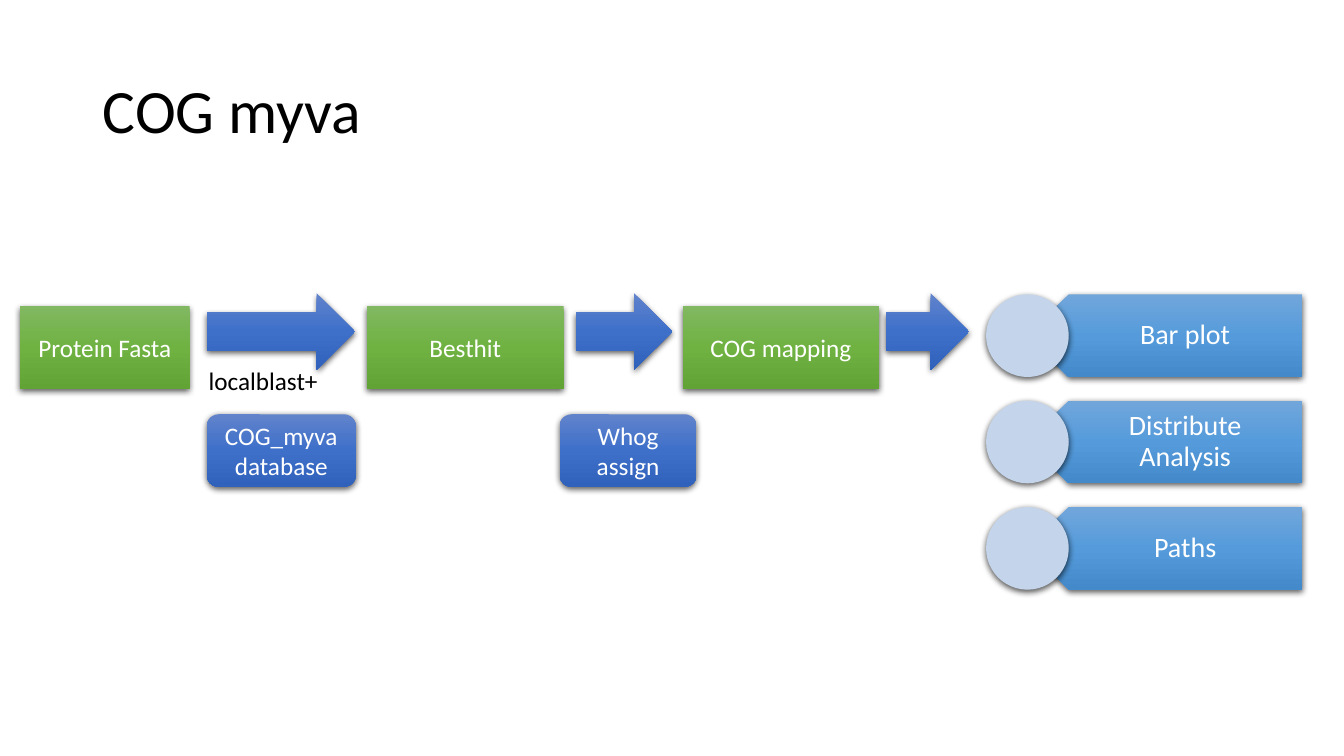
import pptx
import pptx.dml.color
import pptx.enum.shapes
import pptx.enum.text
import pptx.oxml
import pptx.oxml.ns
import pptx.util

Inches = pptx.util.Inches
RGBColor = pptx.dml.color.RGBColor
Shape = pptx.enum.shapes.MSO_SHAPE
Align = pptx.enum.text.PP_ALIGN
Anchor = pptx.enum.text.MSO_ANCHOR

BLACK = RGBColor(0x00, 0x00, 0x00)
WHITE = RGBColor(0xFF, 0xFF, 0xFF)
PALE_BLUE = RGBColor(0xC4, 0xD5, 0xEB)
GREEN = (RGBColor(0x81, 0xB8, 0x61), RGBColor(0x6F, 0xB2, 0x42), RGBColor(0x62, 0xA3, 0x36))
BLUE = (RGBColor(0x61, 0x83, 0xCB), RGBColor(0x3E, 0x70, 0xCA), RGBColor(0x30, 0x62, 0xBB))
SKY = (RGBColor(0x71, 0xA6, 0xDB), RGBColor(0x55, 0x9B, 0xDB), RGBColor(0x44, 0x8A, 0xCA))


def write_text(box, text, size=18, color=WHITE, align=Align.CENTER, anchor=Anchor.MIDDLE,
               spacing=None, wrap=True, insets=(0.1, 0.05, 0.1, 0.05)):
    """Write one formatted paragraph into a shape, text box or placeholder."""
    frame = box.text_frame
    frame.word_wrap = wrap
    frame.vertical_anchor = anchor
    (frame.margin_left, frame.margin_top,
     frame.margin_right, frame.margin_bottom) = map(Inches, insets)
    para = frame.paragraphs[0]
    para.alignment = align
    para.line_spacing = spacing
    span = para.add_run()
    span.text = text
    span.font.name = "Calibri"
    span.font.size = pptx.util.Pt(size)
    span.font.color.rgb = color


class FlowSlide:
    """The style of the flow chart and the slide it is drawn on."""

    def __init__(self, deck):
        """Add a title-only slide to the deck."""
        self.page = deck.slides.add_slide(deck.slide_layouts[5])

    def title(self, text):
        """Place and fill the title placeholder."""
        box = self.page.shapes.title
        box.left, box.top = Inches(0.92), Inches(0.4)
        box.width, box.height = Inches(11.5), Inches(1.45)
        write_text(box, text, size=44, color=BLACK, align=Align.LEFT, spacing=0.9)

    def shape(self, kind, left, top, width, height, fill, text=None):
        """Draw a borderless preset shape with a flat or three-stop fill and a soft shadow."""
        shape = self.page.shapes.add_shape(
            kind, Inches(left), Inches(top), Inches(width), Inches(height))
        shape.line.fill.background()
        if isinstance(fill, RGBColor):
            shape.fill.solid()
            shape.fill.fore_color.rgb = fill
        else:
            self.shade(shape, fill)
        self.cast_shadow(shape)
        if text:
            write_text(shape, text)
        return shape

    def shade(self, shape, colors):
        """Fill a shape with a gradient that runs from top to bottom."""
        stops = "".join(f'<a:gs pos="{index * 50000}"><a:srgbClr val="{color}"/></a:gs>'
                        for index, color in enumerate(colors))
        gradient = pptx.oxml.parse_xml(
            f'<a:gradFill {pptx.oxml.ns.nsdecls("a")} rotWithShape="1">'
            f'<a:gsLst>{stops}</a:gsLst><a:lin ang="5400000" scaled="0"/></a:gradFill>')
        shape.element.spPr.find(pptx.oxml.ns.qn("a:prstGeom")).addnext(gradient)

    def cast_shadow(self, shape):
        """Give a shape a soft shadow just below it."""
        shape.shadow.inherit = False
        effects = shape.element.spPr.find(pptx.oxml.ns.qn("a:effectLst"))
        effects.append(pptx.oxml.parse_xml(
            f'<a:outerShdw {pptx.oxml.ns.nsdecls("a")} blurRad="57150" dist="19050" '
            'dir="5400000" algn="ctr" rotWithShape="0"><a:srgbClr val="000000">'
            '<a:alpha val="63000"/></a:srgbClr></a:outerShdw>'))

    def label(self, text, left, top, width, height, **text_format):
        """Add a text box without fill."""
        box = self.page.shapes.add_textbox(
            Inches(left), Inches(top), Inches(width), Inches(height))
        write_text(box, text, **text_format)

    def result(self, text, top):
        """Draw a left-pointing result bar with its label and round marker."""
        bar = self.shape(Shape.PENTAGON, 10.19, top, 2.73, 0.82, SKY)
        bar.element.spPr.xfrm.set("flipH", "1")
        self.label(text, 10.39, top, 2.53, 0.82, size=20, spacing=0.9,
                   insets=(0.36, 0.08, 0.16, 0.08))
        self.shape(Shape.OVAL, 9.78, top, 0.82, 0.82, PALE_BLUE)


def main():
    """Build the slide and save the deck."""
    deck = pptx.Presentation()
    deck.slide_width, deck.slide_height = Inches(13.33), Inches(7.5)
    slide = FlowSlide(deck)
    slide.title("COG myva")
    for index, text in enumerate(("Bar plot", "Distribute Analysis", "Paths")):
        slide.result(text, 2.92 + index * 1.055)
    for text, left, width in (("Protein Fasta", 0.2, 1.68), ("Besthit", 3.64, 1.95),
                              ("COG mapping", 6.77, 1.95)):
        slide.shape(Shape.RECTANGLE, left, 3.04, width, 0.82, GREEN, text)
    for left, width in ((2.05, 1.47), (5.71, 0.96), (8.79, 0.82)):
        slide.shape(Shape.RIGHT_ARROW, left, 2.91, width, 0.76, BLUE)
    for text, left, width in (("COG_myva database", 2.05, 1.48), ("Whog assign", 5.55, 1.36)):
        slide.shape(Shape.ROUNDED_RECTANGLE, left, 4.11, width, 0.72, BLUE, text)
    slide.label("localblast+", 1.97, 3.58, 1.29, 0.4, color=BLACK, align=Align.LEFT,
                anchor=Anchor.TOP, wrap=False)
    deck.save("out.pptx")


main()
